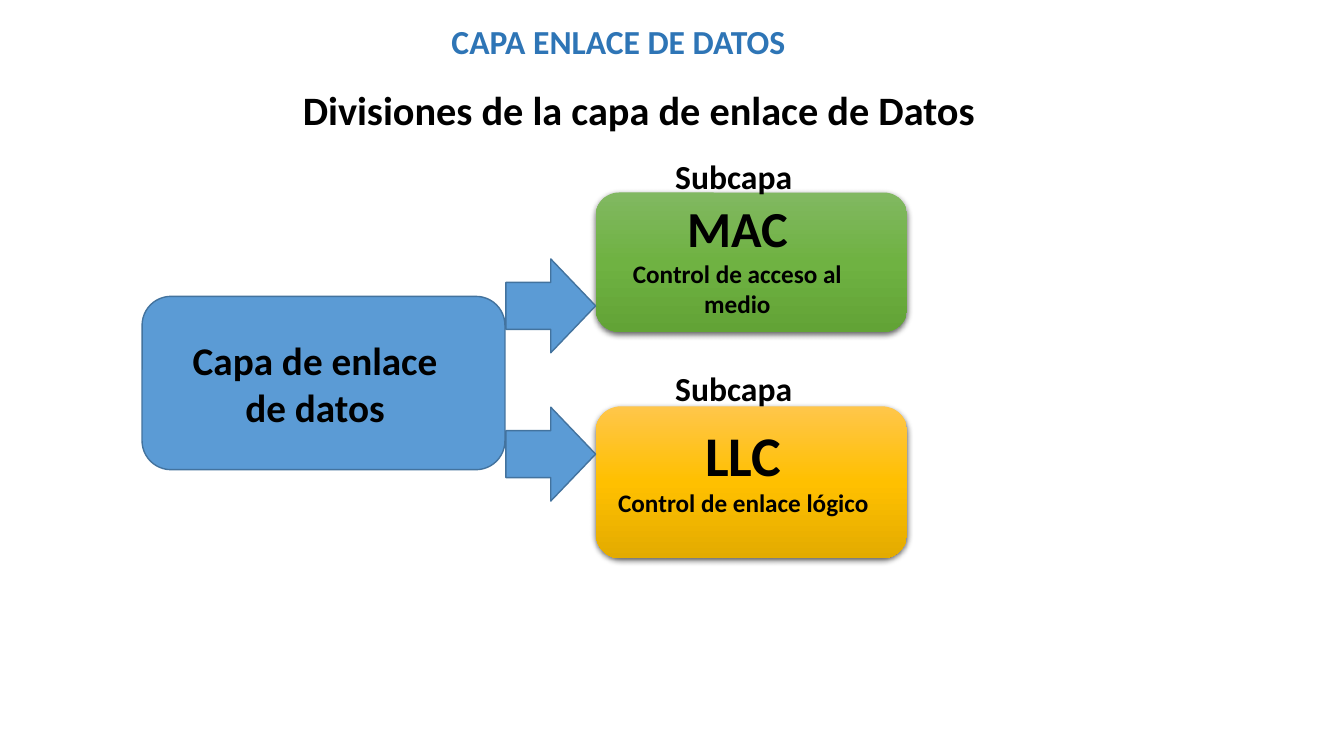
"""Build the slide on the two sublayers of the data link layer."""
from dataclasses import dataclass

from lxml.etree import SubElement
from pptx import Presentation
from pptx.dml.color import RGBColor
from pptx.enum.shapes import MSO_SHAPE
from pptx.enum.text import MSO_ANCHOR, PP_ALIGN
from pptx.oxml.ns import qn
from pptx.shapes.autoshape import Shape
from pptx.slide import Slide
from pptx.util import Pt

COLORS = {
    "heading": "2E75B6", "text": "000000", "blue": "5B9BD5", "outline": "43739E",
    "green_top": "81B861", "green": "6FB242", "green_bottom": "62A336",
    "gold_top": "FFC64B", "gold": "FFC000", "gold_bottom": "E3AB00",
    "shadow": "000000",
}


@dataclass(frozen=True)
class Box:
    left: float
    top: float
    width: float
    height: float

    def lengths(self) -> list[Pt]:
        return [Pt(value) for value in (self.left, self.top, self.width, self.height)]


@dataclass(frozen=True)
class Line:
    text: str
    size: float
    color: str = "text"
    align: PP_ALIGN = PP_ALIGN.CENTER
    spacing: float = 1.0
    right_indent: float = 0


@dataclass(frozen=True)
class Caption:
    box: Box
    lines: tuple[Line, ...]
    anchor: MSO_ANCHOR = MSO_ANCHOR.TOP


@dataclass(frozen=True)
class Sublayer:
    panel: Box
    hue: str
    label: Caption
    tag_top: float
    arrow_top: float


LAYER = Box(101.5, 211.7, 259.2, 123.8)
CAPTIONS = (
    Caption(Box(315.4, 14.4, 265.7, 43.2),
            (Line("CAPA ENLACE DE DATOS", 24, "heading", PP_ALIGN.LEFT, 0.9),)),
    Caption(Box(198, 62.6, 517, 36),
            (Line("Divisiones de la capa de enlace de Datos", 28.8, spacing=0.8),),
            MSO_ANCHOR.BOTTOM),
    Caption(Box(128.9, 236.9, 205.2, 74.9),
            (Line("Capa de enlace", 28, right_indent=13), Line("de datos", 28))),
)
SUBLAYERS = (
    Sublayer(Box(425.5, 137.5, 222.5, 99.4), "green",
             Caption(Box(441.4, 137.5, 170.6, 94.3),
                     (Line("MAC", 36), Line("Control de acceso al medio", 18))),
             108, 185),
    Sublayer(Box(425.5, 290.2, 222.5, 108.7), "gold",
             Caption(Box(425.5, 296.6, 211, 77.8),
                     (Line("LLC", 40), Line("Control de enlace lógico", 18))),
             259.2, 290.9),
)


def add_caption(slide: Slide, caption: Caption) -> None:
    frame = slide.shapes.add_textbox(*caption.box.lengths()).text_frame
    frame.word_wrap = True
    frame.vertical_anchor = caption.anchor
    for index, line in enumerate(caption.lines):
        paragraph = frame.add_paragraph() if index else frame.paragraphs[0]
        paragraph.alignment = line.align
        paragraph.line_spacing = line.spacing
        if line.right_indent:
            paragraph._p.get_or_add_pPr().set("marR", str(Pt(line.right_indent)))
        run = paragraph.add_run()
        run.text = line.text
        font_format = {"name": "Calibri", "size": Pt(line.size), "bold": True}
        for attribute, value in font_format.items():
            setattr(run.font, attribute, value)
        run.font.color.rgb = RGBColor.from_string(COLORS[line.color])


def add_blue_shape(slide: Slide, preset: MSO_SHAPE, box: Box) -> None:
    shape = slide.shapes.add_shape(preset, *box.lengths())
    shape.shadow.inherit = False
    shape.fill.solid()
    shape.fill.fore_color.rgb = RGBColor.from_string(COLORS["blue"])
    shape.line.color.rgb = RGBColor.from_string(COLORS["outline"])
    shape.line.width = Pt(1)


def shade(panel: Shape, hue: str) -> None:
    panel.fill.gradient()
    panel.fill.gradient_angle = 270
    stops = panel._element.spPr.find(qn("a:gradFill")).find(qn("a:gsLst"))
    for stop in list(stops):
        stops.remove(stop)
    for position, name in ((0, f"{hue}_top"), (50, hue), (100, f"{hue}_bottom")):
        stop = SubElement(stops, qn("a:gs"), pos=str(position * 1000))
        SubElement(stop, qn("a:srgbClr"), val=COLORS[name])


def cast_shadow(panel: Shape) -> None:
    panel.shadow.inherit = False
    effects = panel._element.spPr.find(qn("a:effectLst"))
    shadow = SubElement(effects, qn("a:outerShdw"), blurRad=str(Pt(4.5)),
                        dist=str(Pt(1.5)), dir="5400000", algn="ctr", rotWithShape="0")
    color = SubElement(shadow, qn("a:srgbClr"), val=COLORS["shadow"])
    SubElement(color, qn("a:alpha"), val="63000")


def add_sublayer(slide: Slide, sublayer: Sublayer) -> None:
    panel = slide.shapes.add_shape(MSO_SHAPE.ROUNDED_RECTANGLE, *sublayer.panel.lengths())
    panel.line.fill.background()
    shade(panel, sublayer.hue)
    cast_shadow(panel)
    add_caption(slide, sublayer.label)
    add_blue_shape(slide, MSO_SHAPE.RIGHT_ARROW, Box(361.4, sublayer.arrow_top, 64.1, 67))
    add_caption(slide, Caption(Box(475.2, sublayer.tag_top, 211, 36),
                               (Line("Subcapa", 24, align=PP_ALIGN.LEFT),)))


def main() -> None:
    presentation = Presentation()
    presentation.slide_width = Pt(960)
    presentation.slide_height = Pt(540)
    slide = presentation.slides.add_slide(presentation.slide_layouts[6])
    add_blue_shape(slide, MSO_SHAPE.ROUNDED_RECTANGLE, LAYER)
    for caption in CAPTIONS:
        add_caption(slide, caption)
    for sublayer in SUBLAYERS:
        add_sublayer(slide, sublayer)
    presentation.save("out.pptx")


if __name__ == "__main__":
    main()
